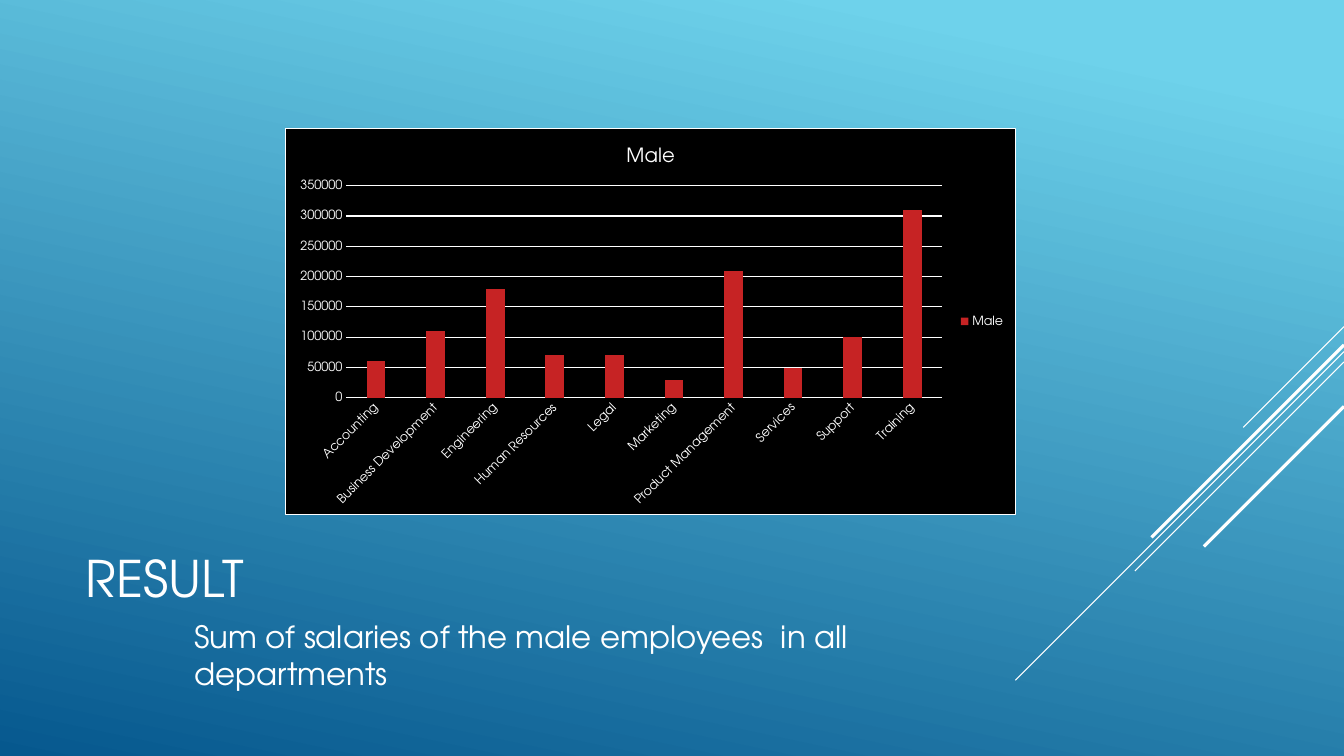
from dataclasses import dataclass
from lxml import etree
from pptx import Presentation, util as u
from pptx.chart.data import CategoryChartData
from pptx.dml.color import RGBColor
from pptx.enum import chart as ch, shapes, text
from pptx.oxml import parse_xml
from pptx.oxml.ns import nsdecls, qn


@dataclass(frozen=True)
class Theme:
    font: str = "TeX Gyre Adventor"
    white: str = "FFFFFF"
    black: str = "000000"
    red: str = "C62324"
    sky: str = "6ED2EB"
    deep: str = "06588E"
    head: int = 36
    body: int = 22
    label: int = 14
    base: int = 10
    tick: int = 9
    thin: float = 0.75
    thick: float = 2.25


T = Theme()
WIDE, HIGH = 33.87, 19.05

SUMS = {
    "Accounting": 60000, "Business Development": 110000,
    "Engineering": 180000, "Human Resources": 70000, "Legal": 70000,
    "Marketing": 30000, "Product Management": 210000, "Services": 50000,
    "Support": 100000, "Training": 310000,
}

# Diagonal rays: start height on the right edge, run, width
RAYS = [
    (8.23, 2.54, T.thin), (8.86, 8.28, T.thin), (9.12, 5.27, T.thin),
    (8.69, 4.85, T.thick), (10.24, 3.53, T.thick),
]


def rgb(code):
    return RGBColor.from_string(code)


def style(font, size):
    font.name, font.size, font.bold = T.font, u.Pt(size), False
    font.color.rgb = rgb(T.white)


def stroke(line, width=T.thin):
    line.color.rgb = rgb(T.white)
    line.width = u.Pt(width)


def write(frame, words, size, anchor):
    frame.word_wrap = True
    frame.vertical_anchor = anchor
    para = frame.paragraphs[0]
    para.alignment = text.PP_ALIGN.LEFT
    run = para.add_run()
    run.text = words
    style(run.font, size)


def backdrop(slide):
    fill = slide.background.fill
    fill.gradient()
    fill.gradient_angle = 258
    for stop, (place, code) in zip(fill.gradient_stops,
                                   [(0.1, T.sky), (1, T.deep)]):
        stop.position = place
        stop.color.rgb = rgb(code)


def rays(slide, edge):
    for top, run, width in RAYS:
        ray = slide.shapes.add_connector(
            shapes.MSO_CONNECTOR.STRAIGHT, u.Cm(edge), u.Cm(top),
            u.Cm(edge - run), u.Cm(top + run))
        stroke(ray.line, width)
        etree.SubElement(ray._element.spPr, qn("a:effectLst"))


def title(slide, box, words):
    shape = slide.shapes.title
    shape.left, shape.top, shape.width, shape.height = map(u.Cm, box)
    write(shape.text_frame, words, T.head, text.MSO_ANCHOR.MIDDLE)


def caption(slide, box, words):
    shape = slide.shapes.add_textbox(*map(u.Cm, box))
    write(shape.text_frame, words, T.body, text.MSO_ANCHOR.TOP)


def panel(chart):
    # Black chart area with a white frame
    chart._chartSpace.find(qn("c:chart")).addnext(parse_xml(
        f'<c:spPr {nsdecls("c", "a")}>'
        f'<a:solidFill><a:srgbClr val="{T.black}"/></a:solidFill>'
        f'<a:ln w="{u.Pt(T.thin)}"><a:solidFill>'
        f'<a:srgbClr val="{T.white}"/></a:solidFill></a:ln></c:spPr>'))


def columns(slide, box, name, sums):
    data = CategoryChartData()
    data.categories = list(sums)
    data.add_series(name, list(sums.values()))
    chart = slide.shapes.add_chart(
        ch.XL_CHART_TYPE.COLUMN_CLUSTERED, *map(u.Cm, box), data).chart
    style(chart.font, T.base)
    panel(chart)

    # Title and legend
    chart.has_title = True
    run = chart.chart_title.text_frame.paragraphs[0].add_run()
    run.text = name
    style(run.font, T.label)
    chart.chart_title.include_in_layout = False
    chart.has_legend = True
    chart.legend.position = ch.XL_LEGEND_POSITION.RIGHT
    chart.legend.include_in_layout = False
    style(chart.legend.font, T.tick)

    # Axes
    cats, vals = chart.category_axis, chart.value_axis
    for axis in (cats, vals):
        axis.major_tick_mark = axis.minor_tick_mark = ch.XL_TICK_MARK.NONE
        style(axis.tick_labels.font, T.tick)
    stroke(cats.format.line)
    turn = cats._element.find(qn("c:txPr")).find(qn("a:bodyPr"))
    turn.set("rot", "-2700000")
    turn.set("vert", "horz")
    vals.format.line.fill.background()
    vals.minimum_scale, vals.maximum_scale = 0, 350000
    vals.major_unit = 50000
    stroke(vals.major_gridlines.format.line)

    # Bars
    plot = chart.plots[0]
    plot.gap_width, plot.overlap = 219, -27
    plot.vary_by_categories = False
    fill = plot.series[0].format.fill
    fill.solid()
    fill.fore_color.rgb = rgb(T.red)


def result(deck):
    slide = deck.slides.add_slide(deck.slide_layouts[5])
    backdrop(slide)
    rays(slide, WIDE)
    title(slide, (1.9, 12.46, 23.7, 4.19), "RESULT")
    columns(slide, (7.19, 3.23, 18.42, 9.74), "Male", SUMS)
    caption(slide, (4.65, 15.44, 18.42, 2.01),
            "Sum of salaries of the male employees  in all departments")


def main():
    deck = Presentation()
    deck.slide_width, deck.slide_height = u.Cm(WIDE), u.Cm(HIGH)
    result(deck)
    deck.save("out.pptx")


if __name__ == "__main__":
    main()
